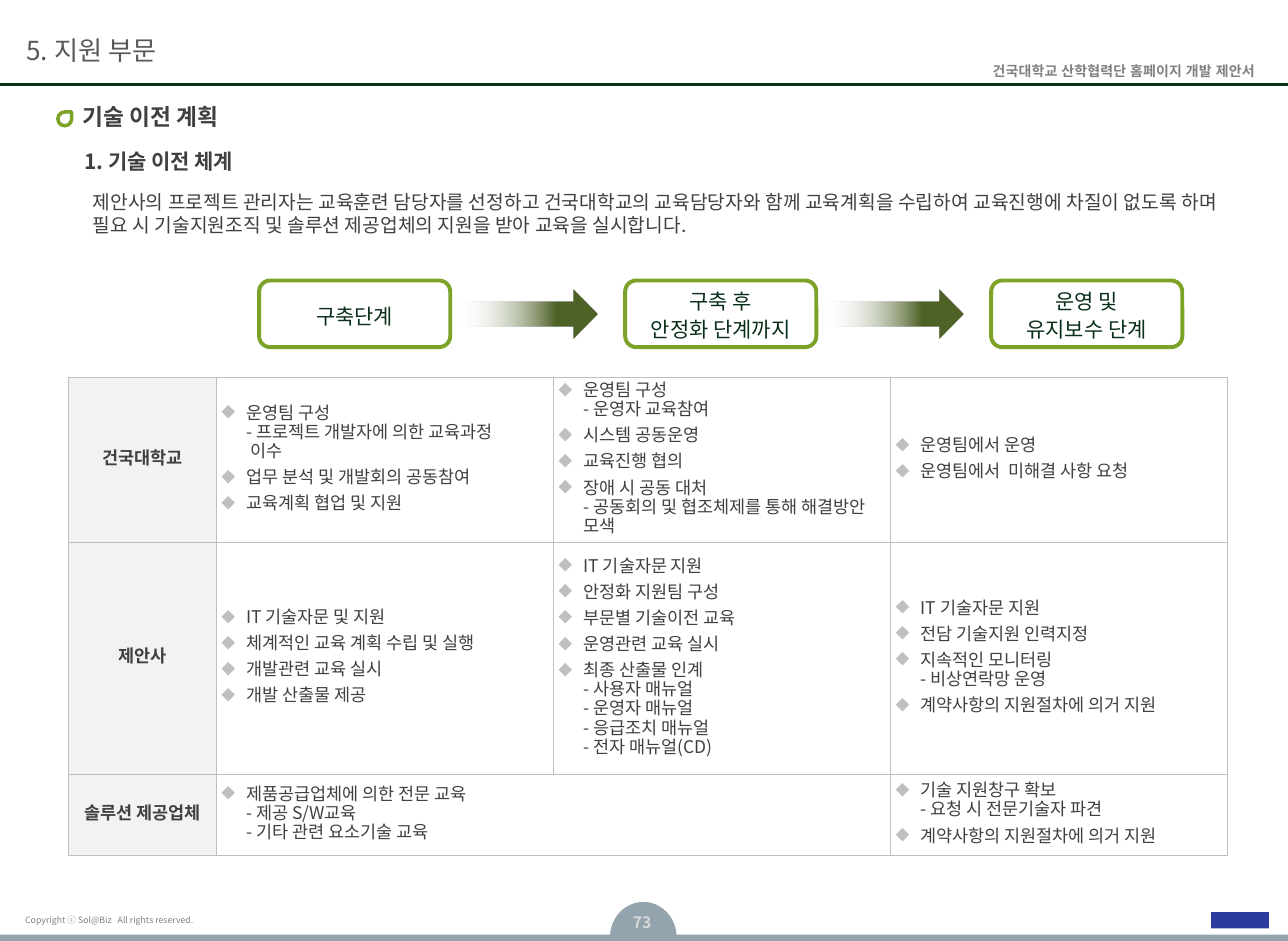
import pptx
import pptx.util
import pptx.dml.color
import pptx.enum.shapes
import pptx.enum.text
import pptx.oxml
import pptx.oxml.ns

Inches = pptx.util.Inches
Pt = pptx.util.Pt
SHAPES = pptx.enum.shapes.MSO_SHAPE
ALIGN = pptx.enum.text.PP_ALIGN
ANCHOR = pptx.enum.text.MSO_ANCHOR
FONT = "Noto Sans CJK KR"
NAMESPACE = pptx.oxml.ns.nsdecls("a")
rgb = pptx.dml.color.RGBColor.from_string


def write_text(frame, lines, size, color, bold=False, font=FONT, bullet=False, **paragraph_format):
    frame.word_wrap = True
    for index, line in enumerate(lines):
        paragraph = frame.paragraphs[0] if index == 0 else frame.add_paragraph()
        paragraph.text = line
        for name, value in paragraph_format.items():
            if name != "space_before" or index > 0:
                setattr(paragraph, name, value)
        if bullet:
            properties = paragraph._p.get_or_add_pPr()
            properties.set("marL", str(Inches(0.2)))
            properties.set("indent", str(Inches(-0.2)))
            for element in ('buClr {}><a:srgbClr val="BFBFBF"/></a:buClr', 'buSzPct {} val="80000"/',
                            'buFont {} typeface="Noto Sans CJK KR"/', 'buChar {} char="◆"/'):
                properties.append(pptx.oxml.parse_xml(f"<a:{element.format(NAMESPACE)}>"))
        for run in paragraph.runs:
            run.font.color.rgb = rgb(color)
            for name, value in {"size": Pt(size), "bold": bold, "name": font}.items():
                setattr(run.font, name, value)
            run._r.get_or_add_rPr().append(
                pptx.oxml.parse_xml(f'<a:ea {NAMESPACE} typeface="{font}"/>'))


def add_shape(kind, left, top, width, height, fill, line=None, line_width=0):
    shape = slide.shapes.add_shape(kind, Inches(left), Inches(top), Inches(width), Inches(height))
    shape.shadow.inherit = False
    shape.fill.solid()
    shape.fill.fore_color.rgb = rgb(fill)
    if line:
        shape.line.color.rgb = rgb(line)
        shape.line.width = Pt(line_width)
    else:
        shape.line.fill.background()
    return shape


presentation = pptx.Presentation()
presentation.slide_width = Inches(10.24)
presentation.slide_height = Inches(7.48)
slide = presentation.slides.add_slide(presentation.slide_layouts[5])

# Footer tab and bar, header rule, logo block
tab = add_shape(SHAPES.CHORD, 4.85, 7.17, 0.53, 0.56, "93A4AE")
tab.adjustments[0] = 108.41
tab.adjustments[1] = 214.66
add_shape(SHAPES.RECTANGLE, 0, 7.43, 10.24, 0.05, "93A4AE")
add_shape(SHAPES.RECTANGLE, 9.63, 7.25, 0.46, 0.13, "293B9F")
rule = slide.shapes.add_connector(
    pptx.enum.shapes.MSO_CONNECTOR.STRAIGHT, 0, Inches(0.67), Inches(10.24), Inches(0.67))
rule.line.color.rgb = rgb("093019")
rule.line.width = Pt(1.5)
rule._element.spPr.append(pptx.oxml.parse_xml(f"<a:effectLst {NAMESPACE}/>"))

# Title
add_shape(SHAPES.TEAR, 0.46, 0.89, 0.11, 0.11, "FFFFFF", "7CA228", 2)
title = slide.shapes.title
for name, value in {"left": 0.66, "top": 0.82, "width": 9.56, "height": 0.28}.items():
    setattr(title, name, Inches(value))
for side in ("left", "top", "right", "bottom"):
    setattr(title.text_frame, f"margin_{side}", 0)
title.text_frame.auto_size = pptx.enum.text.MSO_AUTO_SIZE.NONE
title.text_frame.vertical_anchor = ANCHOR.TOP
write_text(title.text_frame, ["기술 이전 계획"], 13, "404040", True, alignment=ALIGN.LEFT)

# Header, footer and body texts: position, side and top margins, text, format
texts = [
    ((0, 0.22, 6.29, 0.44), (0.21, 0.05), "5. 지원 부문", dict(size=15, color="595959")),
    ((7.47, 0.45, 2.6, 0.23), (0.09, 0.05), "건국대학교 산학협력단 홈페이지 개발 제안서",
     dict(size=8, color="808080", bold=True, font="Arial", alignment=ALIGN.RIGHT)),
    ((0.12, 7.23, 2.61, 0.18), (0.08, 0.04), "Copyright ⓒ Sol@Biz   All rights reserved.",
     dict(size=5, color="808080")),
    ((4.85, 7.21, 0.51, 0.37), (0.09, 0.05), "73",
     dict(size=9, color="D9D9D9", bold=True, alignment=ALIGN.CENTER)),
    ((0.67, 1.18, 5.07, 0.2), (0, 0), "1. 기술 이전 체계", dict(size=12, color="404040", bold=True)),
    ((0.64, 1.46, 9.26, 0.77), (0.1, 0.05),
     "제안사의 프로젝트 관리자는 교육훈련 담당자를 선정하고 건국대학교의 교육담당자와 함께 "
     "교육계획을 수립하여 교육진행에 차질이 없도록 하며 필요 시 기술지원조직 및 솔루션 "
     "제공업체의 지원을 받아 교육을 실시합니다.", dict(size=11, color="404040")),
]
for position, (side_margin, top_margin), text, text_format in texts:
    frame = slide.shapes.add_textbox(*map(Inches, position)).text_frame
    frame.margin_left = frame.margin_right = Inches(side_margin)
    frame.margin_top = frame.margin_bottom = Inches(top_margin)
    write_text(frame, [text], **text_format)

# Stages with a fading arrow between neighbours
stages = [["구축단계"], ["구축 후", "안정화 단계까지"], ["운영 및", "유지보수 단계"]]
stage_pitch = 2.91
for index, lines in enumerate(stages):
    left = 2.06 + index * stage_pitch
    box = add_shape(SHAPES.ROUNDED_RECTANGLE, left, 2.23, 1.52, 0.53, "FFFFFF", "7CA228", 2.25)
    box.text_frame.vertical_anchor = ANCHOR.MIDDLE
    write_text(box.text_frame, lines, 12, "092F19", alignment=ALIGN.CENTER,
               line_spacing=1.2 if len(lines) == 1 else 1.1)
for index in range(len(stages) - 1):
    arrow = add_shape(SHAPES.RIGHT_ARROW, 3.31 + index * stage_pitch, 2.3, 1.44, 0.39, "4F6228")
    properties = arrow._element.spPr
    properties.replace(properties.find(pptx.oxml.ns.qn("a:solidFill")), pptx.oxml.parse_xml(
        f'<a:gradFill {NAMESPACE} rotWithShape="1"><a:gsLst>'
        '<a:gs pos="23000"><a:srgbClr val="4F6228"/></a:gs>'
        '<a:gs pos="77000"><a:srgbClr val="FFFFFF"><a:alpha val="0"/></a:srgbClr></a:gs>'
        '</a:gsLst><a:lin ang="10800000" scaled="0"/></a:gradFill>'))

# Responsibilities by party and stage; None continues the cell to its left
rows = [
    ("건국대학교",
     ["운영팀 구성\n- 프로젝트 개발자에 의한 교육과정\n 이수", "업무 분석 및 개발회의 공동참여",
      "교육계획 협업 및 지원"],
     ["운영팀 구성\n- 운영자 교육참여", "시스템 공동운영", "교육진행 협의",
      "장애 시 공동 대처\n- 공동회의 및 협조체제를 통해 해결방안 모색"],
     ["운영팀에서 운영", "운영팀에서  미해결 사항 요청"]),
    ("제안사",
     ["IT 기술자문 및 지원", "체계적인 교육 계획 수립 및 실행", "개발관련 교육 실시",
      "개발 산출물 제공"],
     ["IT 기술자문 지원", "안정화 지원팀 구성", "부문별 기술이전 교육", "운영관련 교육 실시",
      "최종 산출물 인계\n- 사용자 매뉴얼\n- 운영자 매뉴얼\n- 응급조치 매뉴얼\n- 전자 매뉴얼(CD)"],
     ["IT 기술자문 지원", "전담 기술지원 인력지정", "지속적인 모니터링\n- 비상연락망 운영",
      "계약사항의 지원절차에 의거 지원"]),
    ("솔루션 제공업체",
     ["제품공급업체에 의한 전문 교육\n- 제공 S/W교육\n- 기타 관련 요소기술 교육"],
     None,
     ["기술 지원창구 확보\n- 요청 시 전문기술자 파견", "계약사항의 지원절차에 의거 지원"]),
]
table = slide.shapes.add_table(
    3, 4, Inches(0.54), Inches(3), Inches(9.22), Inches(3.8)).table
table.first_row = table.horz_banding = False
for column, width in zip(table.columns, (1.18, 2.68, 2.68, 2.68)):
    column.width = Inches(width)
for row, height in zip(table.rows, (1.31, 1.84, 0.65)):
    row.height = Inches(height)
for row_index, row in enumerate(rows):
    for column_index, content in enumerate(row):
        cell = table.cell(row_index, column_index)
        for side in ("left", "top", "right", "bottom"):
            setattr(cell, f"margin_{side}", Inches(0.04))
        cell.vertical_anchor = ANCHOR.MIDDLE
        for edge in "LRTB":
            cell._tc.get_or_add_tcPr().append(pptx.oxml.parse_xml(
                f'<a:ln{edge} {NAMESPACE} w="{Pt(0.5)}"><a:solidFill>'
                f'<a:srgbClr val="BFBFBF"/></a:solidFill></a:ln{edge}>'))
        cell.fill.solid()
        cell.fill.fore_color.rgb = rgb("FFFFFF" if column_index else "F2F2F2")
        if content is None:
            table.cell(row_index, column_index - 1).merge(cell)
        elif column_index == 0:
            write_text(cell.text_frame, [content], 10, "404040", True,
                       alignment=ALIGN.CENTER, line_spacing=Pt(11))
        else:
            write_text(cell.text_frame, content, 10, "404040", bullet=True,
                       line_spacing=Pt(11), space_before=Pt(3.9))

presentation.save("out.pptx")
